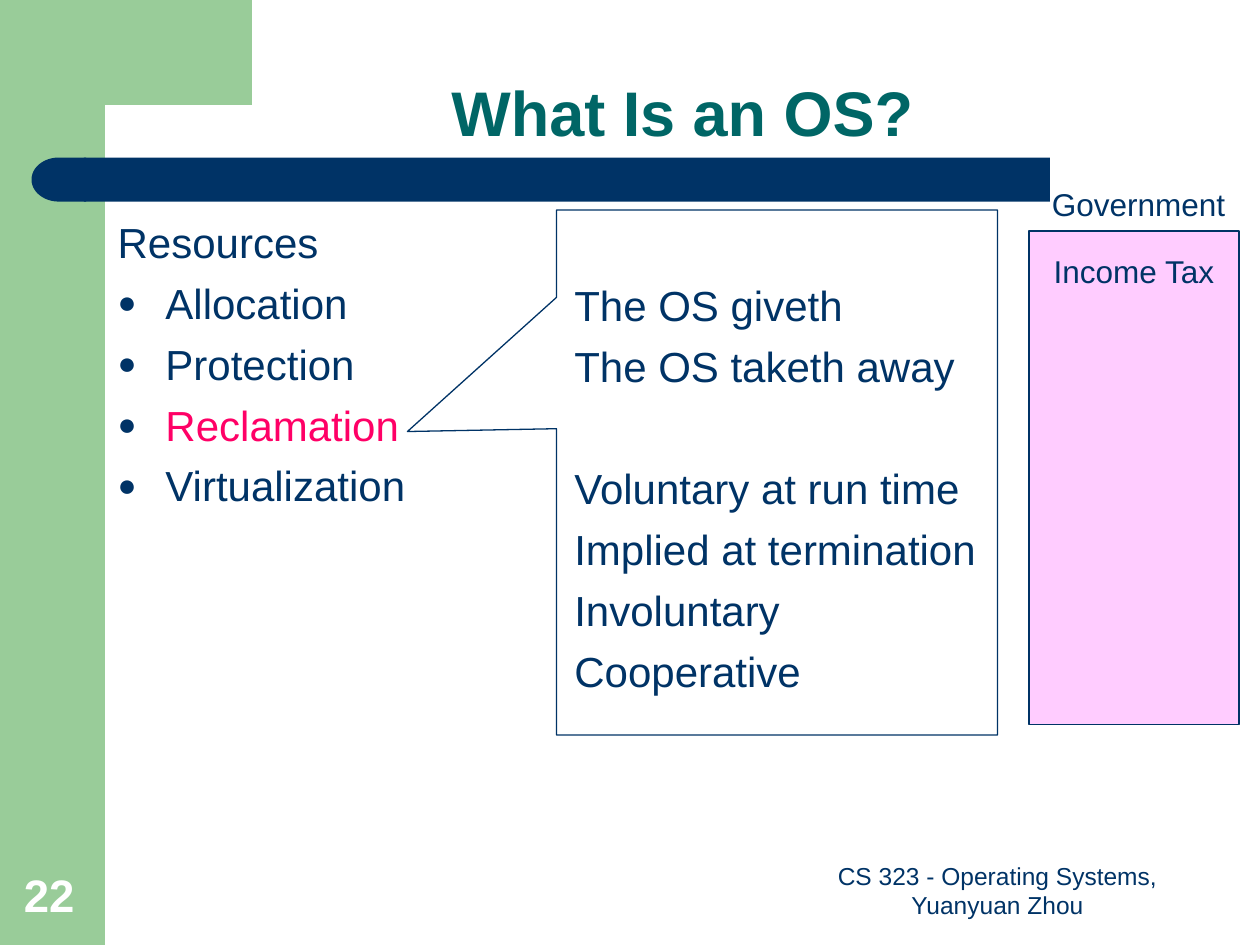
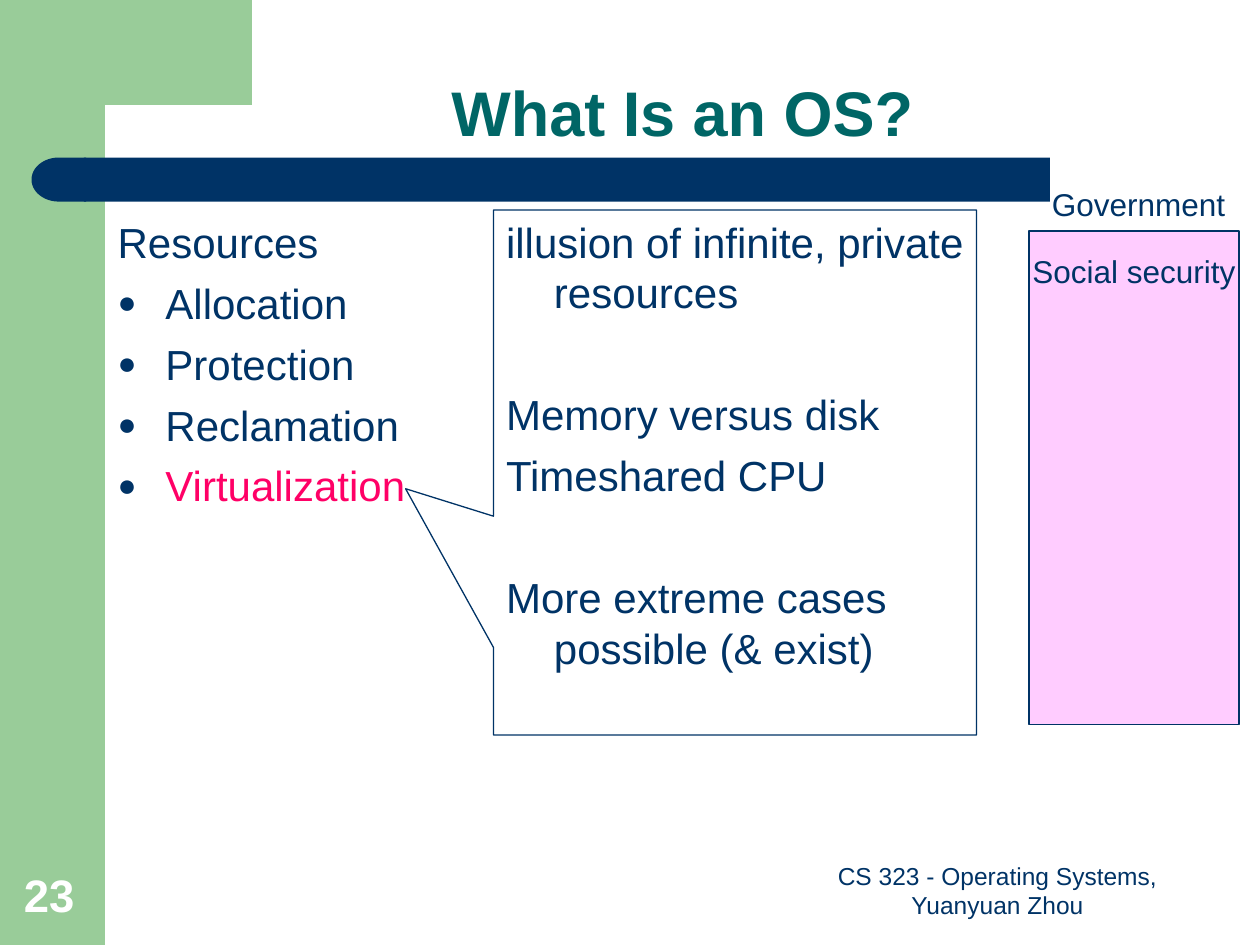
from lxml import etree
from pptx import Presentation
from pptx.dml.color import RGBColor
from pptx.enum.shapes import MSO_SHAPE
from pptx.enum.text import MSO_ANCHOR, MSO_AUTO_SIZE, PP_ALIGN
from pptx.oxml.ns import qn
from pptx.util import Inches, Pt

RECTANGLE = MSO_SHAPE.RECTANGLE
DELAY = MSO_SHAPE.FLOWCHART_DELAY
CALLOUT = MSO_SHAPE.RECTANGULAR_CALLOUT
TOP, BOTTOM = MSO_ANCHOR.TOP, MSO_ANCHOR.BOTTOM
LEFT, CENTER = PP_ALIGN.LEFT, PP_ALIGN.CENTER
NO_FIT = MSO_AUTO_SIZE.NONE

COLUMNS, ROWS = 120, 90  # grid of twelve cells to the inch
CELL = Inches(1) // 12
FONT = "Arial"
NAVY, GREEN, TEAL = "003366", "99CC99", "006666"
PINK, LILAC, WHITE = "FF0066", "FFCCFF", "FFFFFF"
TWO_CONTENT = 3
INDENT = Inches(0.38)
LINE_GAP, SECTION_GAP = 6, 41

TITLE = "What Is an OS?"
RESOURCES = ["Allocation", "Protection", "Reclamation", "Virtualization"]
FOOTER = "CS 323 - Operating Systems, Yuanyuan Zhou"

# Each detail is a list of sections; each section is a list of lines.
SLIDES = [
    dict(number=22, topic="Reclamation", duty="Income Tax",
         detail=[["The OS giveth", "The OS taketh away"],
                 ["Voluntary at run time", "Implied at termination",
                  "Involuntary", "Cooperative"]],
         detail_area=(53.5, 26, 48.5, 57),
         callout_area=(53, 20, 42, 50), pointer=(-0.838, -0.078)),
    dict(number=23, topic="Virtualization", duty="Social security",
         detail=[["illusion of infinite, private resources"],
                 ["Memory versus disk", "Timeshared CPU"],
                 ["More extreme cases possible (& exist)"]],
         detail_area=(47, 20, 48.5, 61),
         callout_area=(47, 20, 46, 50), pointer=(-0.682, 0.031)),
]


def color(value):
    return RGBColor.from_string(value)


def cells(*counts):
    return [round(count * CELL) for count in counts]


def place(shape, area):
    shape.left, shape.top, shape.width, shape.height = cells(*area)


def paint(shape, fill=None, line=None):
    shape.shadow.inherit = False
    if fill:
        shape.fill.solid()
        shape.fill.fore_color.rgb = color(fill)
    else:
        shape.fill.background()
    if line:
        shape.line.color.rgb = color(line)
        shape.line.width = Pt(0.75)
    else:
        shape.line.fill.background()


def add_panel(slide, kind, area, fill=None, line=None):
    panel = slide.shapes.add_shape(kind, *cells(*area))
    paint(panel, fill, line)
    return panel


def format_text(para, size, ink=NAVY, bold=False, align=LEFT):
    para.alignment = align
    para.font.name, para.font.size, para.font.bold = FONT, Pt(size), bold
    para.font.color.rgb = color(ink)


def write(shape, text, size, ink=NAVY, bold=False, align=LEFT, anchor=TOP, wrap=True):
    frame = shape.text_frame
    frame.auto_size, frame.word_wrap = NO_FIT, wrap
    frame.vertical_anchor = anchor
    frame.text = text
    format_text(frame.paragraphs[0], size, ink, bold, align)


def add_label(slide, area, text, size, **style):
    write(slide.shapes.add_textbox(*cells(*area)), text, size, **style)


def set_bullet(para, shown):
    """Give the paragraph a hanging indent, with or without a bullet."""
    properties = para._p.get_or_add_pPr()
    properties.set("marL", str(INDENT))
    properties.set("indent", str(-INDENT))
    if not shown:
        etree.SubElement(properties, qn("a:buNone"))
        return
    ink = etree.SubElement(properties, qn("a:buClr"))
    etree.SubElement(ink, qn("a:srgbClr"), val=NAVY)
    etree.SubElement(properties, qn("a:buSzPct"), val="75000")
    etree.SubElement(properties, qn("a:buFont"), typeface=FONT)
    etree.SubElement(properties, qn("a:buChar"), char="●")


def fill_list(body, area, lines):
    """Write (text, ink, bulleted, gap before) lines into a body placeholder."""
    place(body, area)
    frame = body.text_frame
    frame.auto_size, frame.word_wrap = NO_FIT, True
    frame.vertical_anchor = TOP
    frame.text = "\n".join(line[0] for line in lines)
    for para, (_, ink, bulleted, gap) in zip(frame.paragraphs, lines):
        para.space_before = Pt(gap)
        set_bullet(para, bulleted)
        format_text(para, 24, ink)


def add_corner(slide):
    outline = slide.shapes.build_freeform(*cells(6, 0), scale=1.0)
    points = [(24, 0), (24, 10), (10, 10), (8.5, 11), (8, 15.3), (6, 15.3)]
    outline.add_line_segments([cells(*point) for point in points], close=True)
    corner = outline.convert_to_shape()
    paint(corner, GREEN)
    return corner


def decorate_layout(layout, slide):
    """Draw the bands on a slide, then move them behind the layout's text."""
    side = add_panel(slide, RECTANGLE, (0, 0, 10, ROWS), GREEN)
    corner = add_corner(slide)
    bar = add_panel(slide, RECTANGLE, (8, 15, 92, 4.2), NAVY)
    cap = add_panel(slide, DELAY, (3, 15, 5.2, 4.2), NAVY)
    cap.element.spPr.xfrm.set("flipH", "1")
    for order, band in enumerate([side, corner, bar, cap]):
        band.element.nvSpPr.cNvPr.set("id", str(100 + order))
        layout.shapes.element.insert(2 + order, band.element)


def add_title(slide):
    title = slide.shapes.title
    place(title, (13, 7, 104, 7.9))
    write(title, TITLE, 36, TEAL, bold=True, align=CENTER, anchor=BOTTOM)
    title.text_frame.paragraphs[0].line_spacing = 0.9


def add_resources(slide, topic):
    lines = [("Resources", NAVY, False, LINE_GAP)]
    lines += [(name, PINK if name == topic else NAVY, True, LINE_GAP)
              for name in RESOURCES]
    fill_list(slide.placeholders[1], (10, 20, 49.5, 44.8), lines)


def add_detail(slide, sections, detail_area, callout_area, pointer):
    lines = [(text, NAVY, False, SECTION_GAP if section and not row else LINE_GAP)
             for section, texts in enumerate(sections)
             for row, text in enumerate(texts)]
    fill_list(slide.placeholders[2], detail_area, lines)
    callout = add_panel(slide, CALLOUT, callout_area, line=NAVY)
    callout.adjustments[0], callout.adjustments[1] = pointer


def add_government(slide, duty):
    panel = add_panel(slide, RECTANGLE, (98, 22, 20, 47), LILAC, NAVY)
    write(panel, duty, 18, align=CENTER, wrap=False)
    panel.text_frame.margin_top = Inches(0.17)
    add_label(slide, (99, 17, 18.8, 4.8), "Government", 18, wrap=False)


def add_footer(slide, number):
    add_label(slide, (76, 82, 38, 6.2), FOOTER, 14, align=CENTER, anchor=BOTTOM)
    add_label(slide, (1.1, 82, 7.7, 6.4), str(number), 26,
              ink=WHITE, bold=True, anchor=BOTTOM)


def main():
    deck = Presentation()
    deck.slide_width, deck.slide_height = cells(COLUMNS, ROWS)
    layout = deck.slide_layouts[TWO_CONTENT]
    for index, content in enumerate(SLIDES):
        slide = deck.slides.add_slide(layout)
        if index == 0:
            decorate_layout(layout, slide)
        add_title(slide)
        add_resources(slide, content["topic"])
        add_detail(slide, content["detail"], content["detail_area"],
                   content["callout_area"], content["pointer"])
        add_government(slide, content["duty"])
        add_footer(slide, content["number"])
    deck.save("out.pptx")


if __name__ == "__main__":
    main()
